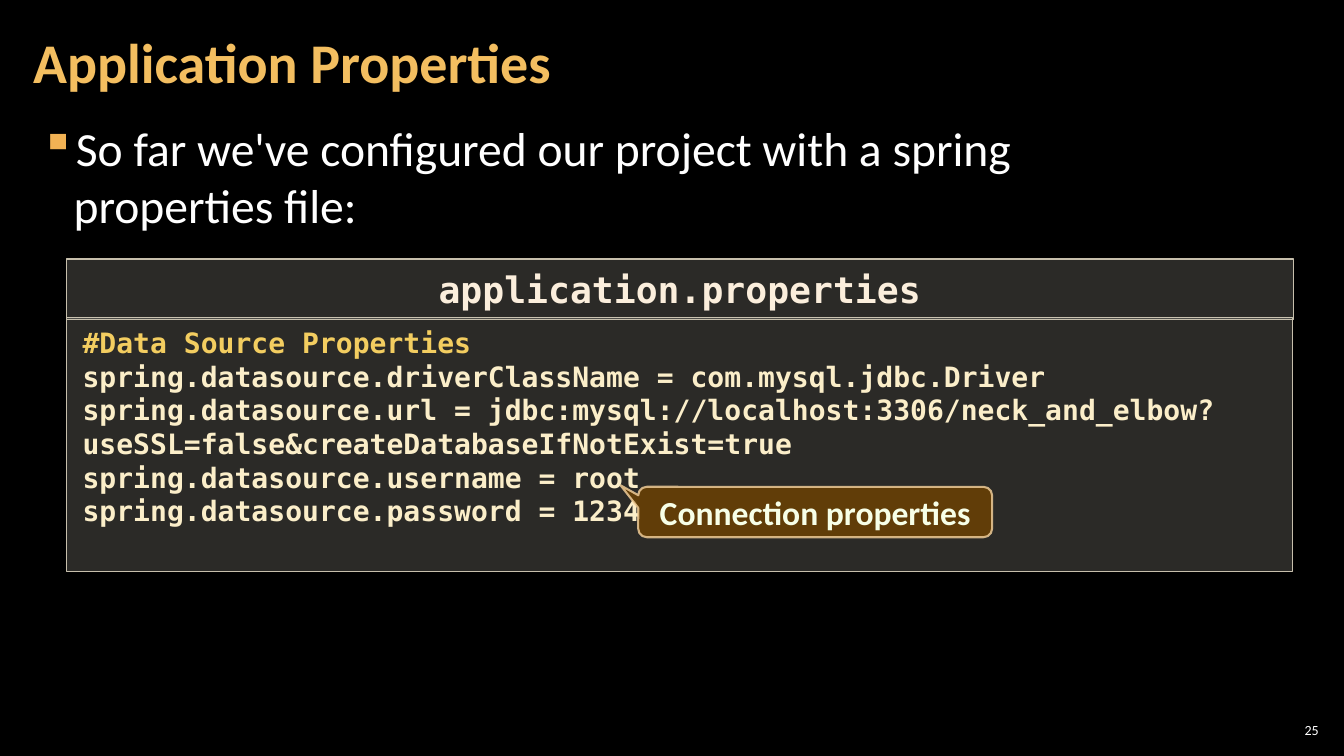
from lxml.etree import SubElement
from pptx import Presentation
from pptx.dml.color import RGBColor
from pptx.enum.shapes import MSO_SHAPE as Preset
from pptx.enum.text import MSO_ANCHOR as Anchor, PP_ALIGN as Align
from pptx.oxml.ns import qn
from pptx.util import Pt

BLACK = RGBColor(0x00, 0x00, 0x00)
WHITE = RGBColor(0xFF, 0xFF, 0xFF)
TITLE_GOLD = RGBColor(0xF3, 0xBE, 0x60)
BULLET_GOLD = RGBColor(0xF2, 0xB2, 0x54)
COMMENT_GOLD = RGBColor(0xF3, 0xCD, 0x60)
CODE_CREAM = RGBColor(0xFB, 0xEE, 0xC9)
HEADER_CREAM = RGBColor(0xFB, 0xEE, 0xDC)
PANEL_FILL = RGBColor(0xD9, 0xD5, 0xC7)
PANEL_LINE = RGBColor(0xC7, 0xBF, 0xAC)
CALLOUT_FILL = RGBColor(0x64, 0x3F, 0x07)
CALLOUT_LINE = RGBColor(0xF8, 0xD4, 0x9E)
CALLOUT_TEXT = RGBColor(0xF7, 0xFF, 0xE7)

SETTINGS = [
    "#Data Source Properties",
    "spring.datasource.driverClassName = com.mysql.jdbc.Driver",
    "spring.datasource.url = jdbc:mysql://localhost:3306/neck_and_elbow?useSSL=false&createDatabaseIfNotExist=true",
    "spring.datasource.username = root",
    "spring.datasource.password = 1234",
]


class SlideBuilder:
    SCALE = 9144
    SANS = "Calibri"
    MONO = "DejaVu Sans Mono"

    def __init__(self, width, height):
        self.deck = Presentation()
        self.deck.slide_width = self.px(width)
        self.deck.slide_height = self.px(height)
        self.page = self.deck.slides.add_slide(self.deck.slide_layouts[6])
        self.page.background.fill.solid()
        self.page.background.fill.fore_color.rgb = BLACK

    def px(self, length):
        return length * self.SCALE

    def apply(self, target, values):
        for name, value in values.items():
            setattr(target, name, value)

    def frame(self, box, side, top, anchor=Anchor.TOP):
        self.apply(box.text_frame, {
            "word_wrap": True, "vertical_anchor": anchor,
            "margin_left": self.px(side), "margin_right": self.px(side),
            "margin_top": self.px(top), "margin_bottom": self.px(top),
        })

    def add_span(self, para, text, size, color, font=SANS, bold=False, **layout):
        self.apply(para, {"alignment": Align.LEFT, **layout})
        span = para.add_run()
        span.text = text
        self.apply(span.font, {"name": font, "size": Pt(size), "bold": bold})
        span.font.color.rgb = color

    def text(self, area, text, size, color, side=12, anchor=Anchor.TOP, **style):
        box = self.page.shapes.add_textbox(*map(self.px, area))
        self.frame(box, side, 4, anchor)
        para = box.text_frame.paragraphs[0]
        self.add_span(para, text, size, color, **style)
        return para

    def bullet(self, area, text, size, color, indent):
        para = self.text(area, text, size, color, space_after=Pt(6))
        layout = para._p.get_or_add_pPr()
        layout.set("marL", str(self.px(indent)))
        layout.set("indent", str(-self.px(indent)))
        tint = SubElement(layout, qn("a:buClr"))
        SubElement(tint, qn("a:srgbClr")).set("val", str(BULLET_GOLD))
        SubElement(layout, qn("a:buChar")).set("char", "▪")

    def opacity(self, color_format, percent):
        color = color_format.find(".//" + qn("a:srgbClr"))
        SubElement(color, qn("a:alpha")).set("val", str(percent * 1000))

    def shape(self, preset, area, fill, fill_opacity, line, line_width):
        box = self.page.shapes.add_shape(preset, *map(self.px, area))
        box.shadow.inherit = False
        box.fill.solid()
        box.fill.fore_color.rgb = fill
        box.line.color.rgb = line
        box.line.width = Pt(line_width)
        self.opacity(box._element.spPr.find(qn("a:solidFill")), fill_opacity)
        return box

    def panel(self, area, lines, size, colors, alignment=Align.LEFT):
        box = self.shape(Preset.RECTANGLE, area, PANEL_FILL, 20, PANEL_LINE, 1)
        self.frame(box, 16, 8)
        for index, line in enumerate(lines):
            para = box.text_frame.add_paragraph() if index else box.text_frame.paragraphs[0]
            color = colors[min(index, len(colors) - 1)]
            self.add_span(para, line, size, color, self.MONO, True, alignment=alignment)

    def callout(self, area, text, size, adjustments):
        box = self.shape(Preset.ROUNDED_RECTANGULAR_CALLOUT, area,
                         CALLOUT_FILL, 95, CALLOUT_LINE, 1.5)
        for index, value in enumerate(adjustments):
            box.adjustments[index] = value
        self.opacity(box._element.spPr.find(qn("a:ln")), 80)
        self.frame(box, 10, 5, Anchor.MIDDLE)
        self.add_span(box.text_frame.paragraphs[0], text, size, CALLOUT_TEXT,
                      bold=True, alignment=Align.CENTER)


def main():
    slide = SlideBuilder(1333, 750)
    slide.text((1265, 714, 47, 21), "25", 10, WHITE, side=4,
               anchor=Anchor.MIDDLE, alignment=Align.RIGHT)
    slide.text((21, 4, 1047, 121), "Application Properties", 40, TITLE_GOLD,
               anchor=Anchor.MIDDLE, bold=True, line_spacing=0.9)
    slide.panel((66, 315, 1216, 252), SETTINGS, 20, [COMMENT_GOLD, CODE_CREAM])
    slide.panel((66, 257, 1217, 60), ["application.properties"], 26,
                [HEADER_CREAM], Align.CENTER)
    slide.callout((633, 483, 351, 50), "Connection properties", 24, (-0.55, -0.53, 0.17))
    slide.bullet((28, 114, 1032, 617),
                 "So far we've configured our project with a spring properties file:",
                 34, WHITE, 33)
    slide.deck.save("out.pptx")


if __name__ == "__main__":
    main()
